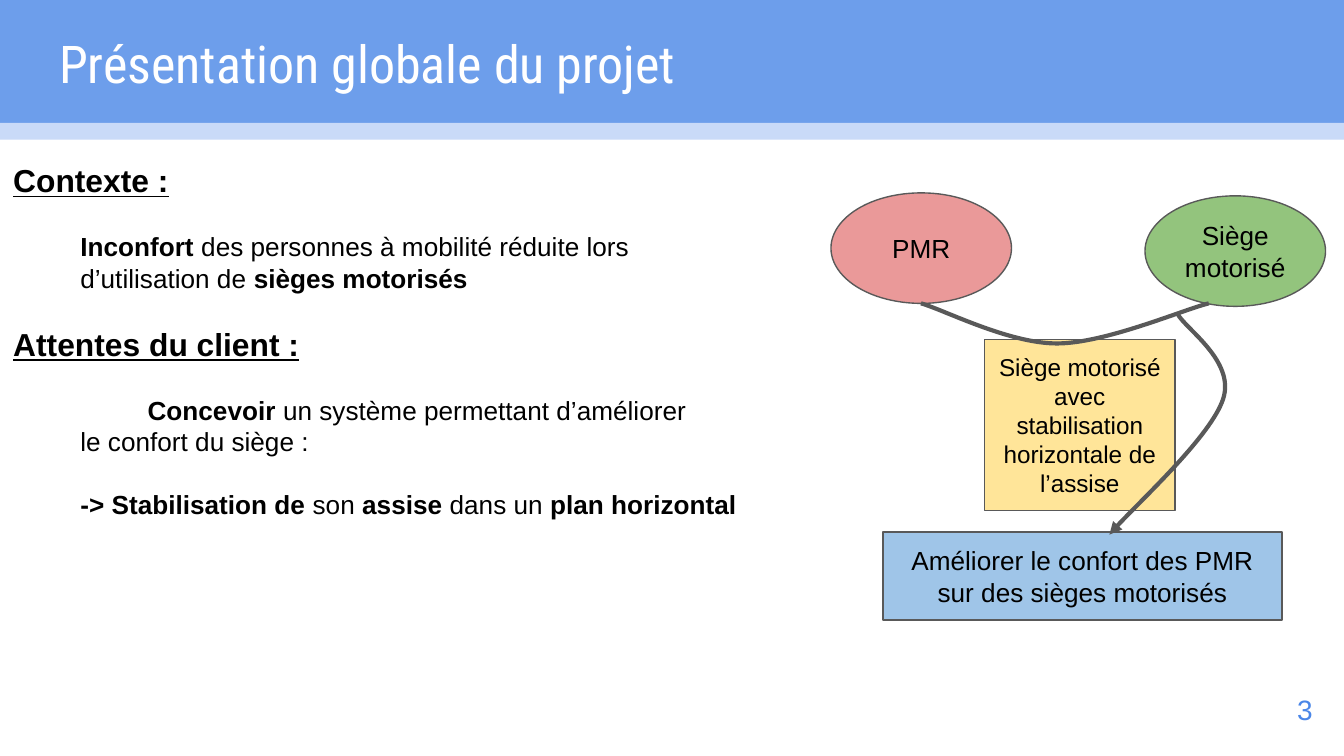
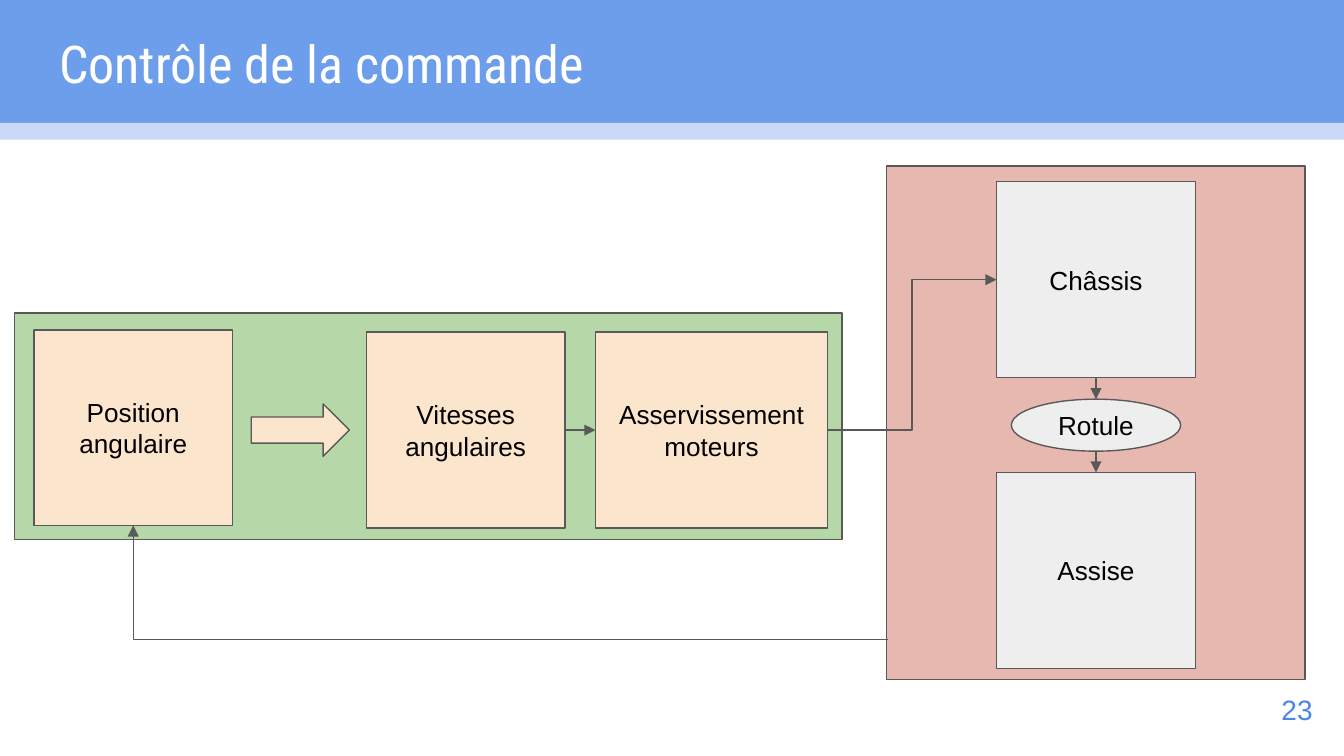
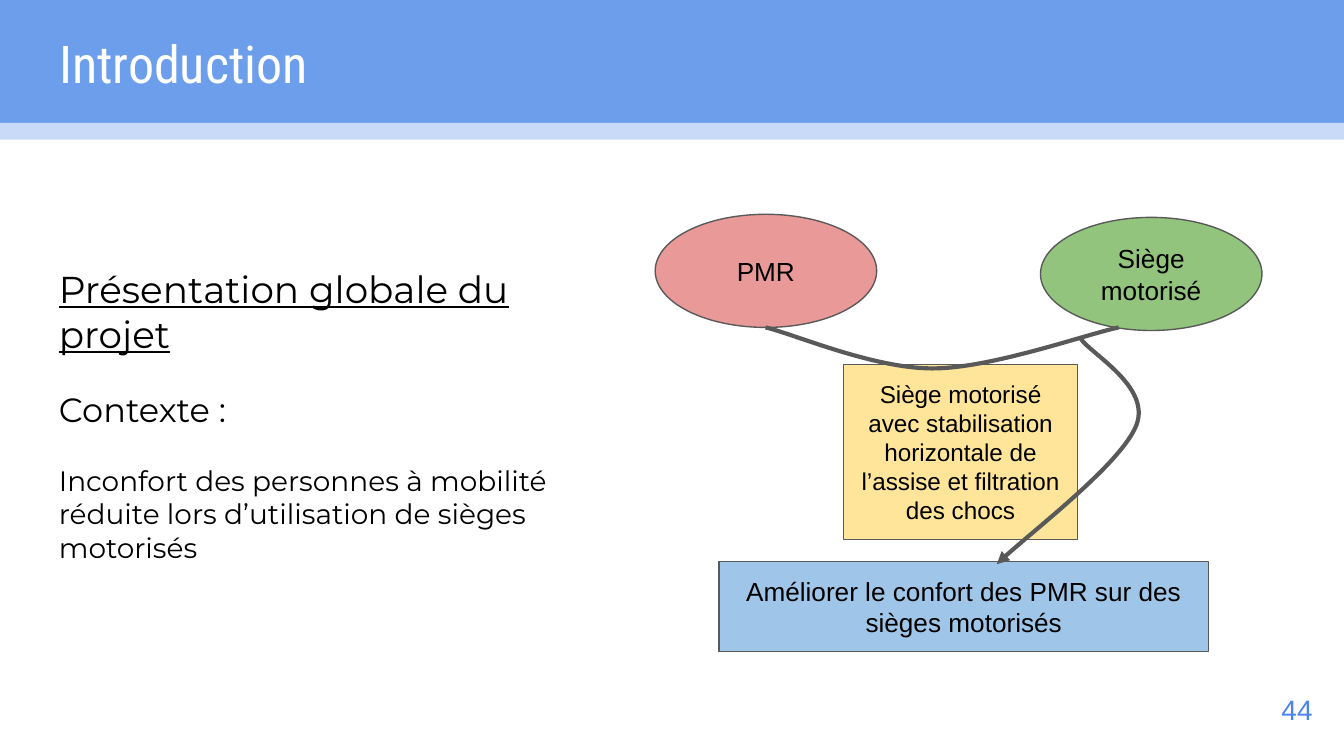
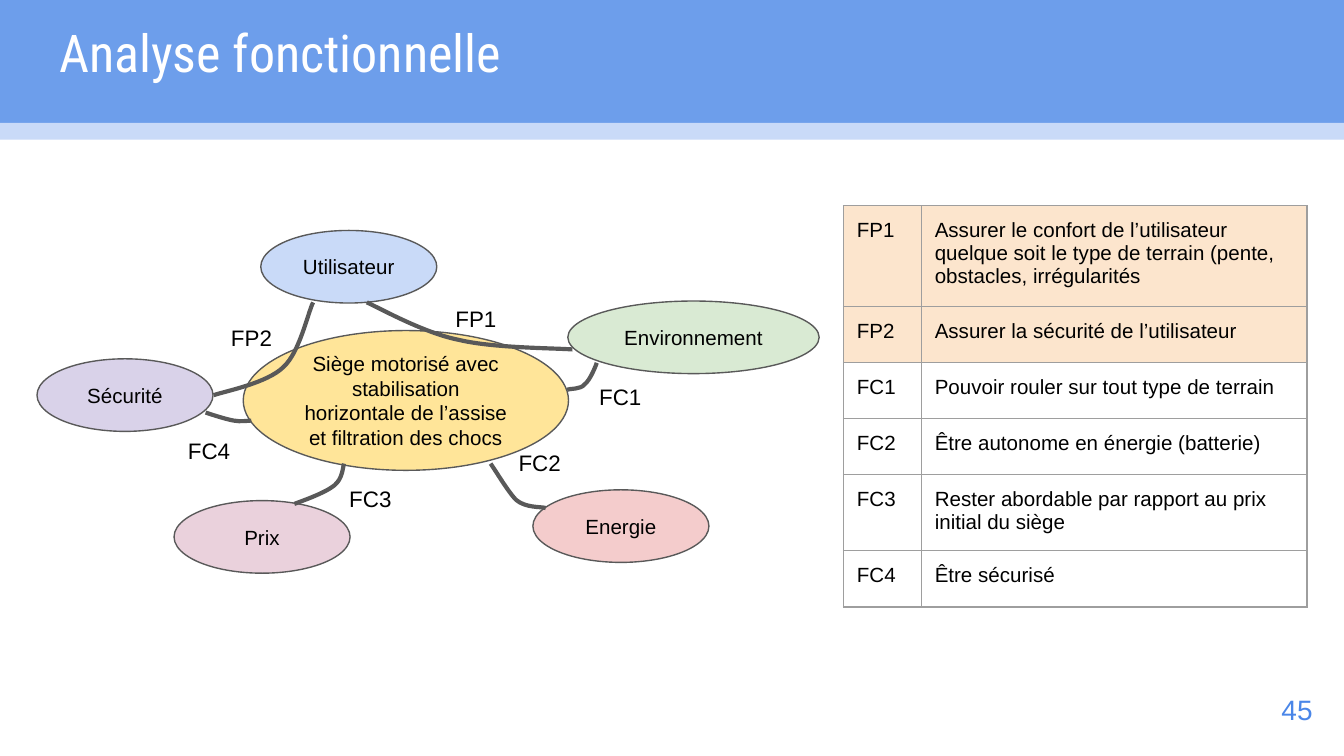
"""Build four slides on a motorised seat that keeps its sitting surface level."""
import lxml.etree
import pptx
import pptx.dml.color
import pptx.enum.shapes
import pptx.enum.text
import pptx.oxml.ns
import pptx.util

RGBColor = pptx.dml.color.RGBColor
Pt = pptx.util.Pt
qn = pptx.oxml.ns.qn
ALIGN = pptx.enum.text.PP_ALIGN
ANCHOR = pptx.enum.text.MSO_ANCHOR
CONNECTOR = pptx.enum.shapes.MSO_CONNECTOR
RECTANGLE = pptx.enum.shapes.MSO_SHAPE.RECTANGLE
OVAL = pptx.enum.shapes.MSO_SHAPE.OVAL
RIGHT_ARROW = pptx.enum.shapes.MSO_SHAPE.RIGHT_ARROW

BLACK = RGBColor(0x00, 0x00, 0x00)
WHITE = RGBColor(0xFF, 0xFF, 0xFF)
LINE_GREY = RGBColor(0x59, 0x59, 0x59)
BORDER_GREY = RGBColor(0x9E, 0x9E, 0x9E)
PALE_GREY = RGBColor(0xEE, 0xEE, 0xEE)
BAND_BLUE = RGBColor(0x6D, 0x9E, 0xEB)
PALE_BLUE = RGBColor(0xC9, 0xDA, 0xF8)
NUMBER_BLUE = RGBColor(0x4A, 0x86, 0xE8)
GOAL_BLUE = RGBColor(0x9F, 0xC5, 0xE8)
RED = RGBColor(0xEA, 0x99, 0x99)
PALE_RED = RGBColor(0xF4, 0xCC, 0xCC)
BRICK = RGBColor(0xE6, 0xB8, 0xAF)
GREEN = RGBColor(0x93, 0xC4, 0x7D)
SOFT_GREEN = RGBColor(0xB6, 0xD7, 0xA8)
PALE_GREEN = RGBColor(0xD9, 0xEA, 0xD3)
YELLOW = RGBColor(0xFF, 0xE5, 0x99)
PEACH = RGBColor(0xFC, 0xE5, 0xCD)
PINK = RGBColor(0xEA, 0xD1, 0xDC)
LILAC = RGBColor(0xD9, 0xD2, 0xE9)

COLUMNS = 100
ROWS = 56.25
CELL = pptx.util.Inches(10) // COLUMNS
MARGIN = CELL


def add_box(slide, kind, cells, fill=None, text="", size=14, color=BLACK):
    """Add a shape, or a text box when kind is None, placed in grid cells."""
    place = [round(length * CELL) for length in cells]
    if kind is None:
        shape = slide.shapes.add_textbox(*place)
    else:
        shape = slide.shapes.add_shape(kind, *place)
        shape.shadow.inherit = False
        shape.fill.solid()
        shape.fill.fore_color.rgb = fill
        shape.line.color.rgb = LINE_GREY
        shape.line.width = Pt(0.75)
        shape.text_frame.vertical_anchor = ANCHOR.MIDDLE
    frame = shape.text_frame
    frame.word_wrap = True
    frame.margin_left = frame.margin_right = MARGIN
    frame.margin_top = frame.margin_bottom = MARGIN
    if text:
        frame.text = text
    for paragraph in frame.paragraphs:
        paragraph.alignment = ALIGN.LEFT if kind is None else ALIGN.CENTER
        for run in paragraph.runs:
            run.font.name = "Arial"
            run.font.size = Pt(size)
            run.font.color.rgb = color
    return shape


def add_curve(slide, points, arrow=False):
    """Draw joined cubic curves through points given in grid cells."""
    (start_x, start_y), *others = [(round(x * CELL), round(y * CELL)) for x, y in points]
    builder = slide.shapes.build_freeform(start_x, start_y)
    builder.add_line_segments(others, close=False)
    curve = builder.convert_to_shape()
    outline = next(curve.element.iter(qn("a:path")))
    segments = outline.findall(qn("a:lnTo"))
    for start in range(0, len(segments), 3):
        cubic = lxml.etree.SubElement(outline, qn("a:cubicBezTo"))
        for segment in segments[start:start + 3]:
            cubic.append(segment[0])
            outline.remove(segment)
    curve.shadow.inherit = False
    curve.fill.background()
    curve.line.color.rgb = LINE_GREY
    curve.line.width = Pt(2.25)
    if arrow:
        lxml.etree.SubElement(curve.element.spPr.find(qn("a:ln")), qn("a:tailEnd"), type="triangle")


presentation = pptx.Presentation()
presentation.slide_width = COLUMNS * CELL
presentation.slide_height = round(ROWS * CELL)
layout = presentation.slide_layouts[5]
for placeholder in list(layout.placeholders)[1:]:
    layout.shapes.element.remove(placeholder.element)

headings = [
    ("Présentation globale du projet", "3", 1.35),
    ("Contrôle de la commande", "23", 1.35),
    ("Introduction", "44", 1.35),
    ("Analyse fonctionnelle", "45", 0.5),
]
slides = []
for heading, number, title_top in headings:
    slide = presentation.slides.add_slide(layout)
    slides.append(slide)
    title = slide.shapes.title
    title.left, title.top, title.width, title.height = [
        round(length * CELL) for length in (3.4, title_top, 93.2, 6.3)
    ]
    frame = title.text_frame
    frame.text = heading
    frame.word_wrap = True
    frame.auto_size = pptx.enum.text.MSO_AUTO_SIZE.NONE
    frame.vertical_anchor = ANCHOR.TOP
    frame.margin_left = frame.margin_right = MARGIN
    frame.margin_top = frame.margin_bottom = MARGIN
    frame.paragraphs[0].alignment = ALIGN.LEFT
    font = frame.paragraphs[0].runs[0].font
    font.name = "Roboto Condensed"
    font.size = Pt(27.9)
    font.color.rgb = WHITE
    footer = add_box(slide, None, (92.65, 50.6, 6, 4.3), text=number, size=15, color=NUMBER_BLUE)
    footer.text_frame.vertical_anchor = ANCHOR.MIDDLE
    footer.text_frame.paragraphs[0].alignment = ALIGN.RIGHT

project, control, introduction, analysis = slides

for cells, color in [((-0.3, 9.15, 100.7, 1.25), PALE_BLUE), ((-0.3, -0.1, 100.7, 9.25), BAND_BLUE)]:
    band = add_box(project, RECTANGLE, cells, color)
    band.line.fill.background()
    layout.shapes.element.insert(2, band.element)

project_lines = [
    ("Contexte :", 0, 0, 0),
    ("*Inconfort *des personnes à mobilité réduite lors", 5, 0, 16.8),
    ("d’utilisation de *sièges motorisés*", 5, 0, 0),
    ("Attentes du client :", 0, 0, 16.8),
    ("*Concevoir *un système permettant d’améliorer", 5, 5, 16.8),
    ("le confort du siège :", 5, 0, 0),
    ("*-> Stabilisation de *son *assise *dans un *plan horizontal*", 5, 0, 16.8),
]
frame = add_box(project, None, (0, 11, 62.7, 31.3)).text_frame
for index, (marked_text, margin, indent, space) in enumerate(project_lines):
    paragraph = frame.paragraphs[0] if index == 0 else frame.add_paragraph()
    properties = paragraph._p.get_or_add_pPr()
    properties.set("marL", str(margin * CELL))
    properties.set("indent", str(indent * CELL))
    if space:
        paragraph.space_before = Pt(space)
    is_heading = margin == 0
    for part, text in enumerate(marked_text.split("*")):
        if text:
            run = paragraph.add_run()
            run.text = text
            run.font.name = "Arial"
            run.font.size = Pt(17 if is_heading else 14)
            run.font.color.rgb = BLACK
            run.font.bold = is_heading or part % 2 == 1
            run.font.underline = is_heading

frame = add_box(introduction, None, (3.4, 18.8, 43.4, 24.4)).text_frame
frame.text = (
    "Présentation globale du projet\nContexte :\n"
    "Inconfort des personnes à mobilité réduite lors d’utilisation de sièges motorisés"
)
for index, (paragraph, size) in enumerate(zip(frame.paragraphs, (20, 18, 15))):
    if index:
        paragraph.space_before = Pt(18)
    font = paragraph.runs[0].font
    font.name = "Montserrat"
    font.size = Pt(size)
    font.color.rgb = BLACK
    font.underline = index == 0

need_diagrams = [
    (project, (61.83, 14.35, 36.8, 31.75), "Siège motorisé avec stabilisation horizontale de l’assise"),
    (introduction, (48.75, 15.95, 45.15, 32.5),
     "Siège motorisé avec stabilisation horizontale de l’assise et filtration des chocs"),
]
user_to_seat = [
    (18.2, 25.9), (22.8, 27.4), (35.9, 35.3), (45.7, 35.3), (55.4, 35.3), (71.2, 27.4), (76.4, 25.9),
]
seat_to_goal = [
    (70.1, 28.4), (71.7, 31.9), (81.8, 39.4), (79.3, 48.3), (76.9, 56.8), (60.1, 74.8), (56.3, 80.1),
]
for slide, (left, top, width, height), product in need_diagrams:
    nodes = [
        (OVAL, (0, 0, 36.5, 25.9), RED, "PMR", 14),
        (OVAL, (63.5, 0.7, 36.5, 25.9), GREEN, "Siège motorisé", 14),
        (RECTANGLE, (31, 34.4, 38.6, 40), YELLOW, product, 13),
        (RECTANGLE, (10.5, 79.5, 80.7, 20.6), GOAL_BLUE,
         "Améliorer le confort des PMR sur des sièges motorisés", 14),
    ]
    for kind, (x, y, wide, high), fill, text, size in nodes:
        cells = (left + x * width / 100, top + y * height / 100, wide * width / 100, high * height / 100)
        add_box(slide, kind, cells, fill, text, size)
    for shares, arrow in [(user_to_seat, False), (seat_to_goal, True)]:
        add_curve(slide, [(left + x * width / 100, top + y * height / 100) for x, y in shares], arrow)

add_box(control, RECTANGLE, (1.1, 23.3, 61.55, 16.85), SOFT_GREEN)
add_box(control, RECTANGLE, (65.95, 12.35, 31.15, 38.2), BRICK)
add_box(control, RIGHT_ARROW, (18.7, 30.05, 7.3, 3.9), PEACH)
position = add_box(control, RECTANGLE, (2.52, 24.55, 14.8, 14.55), PEACH, "Position\nangulaire")
speeds = add_box(control, RECTANGLE, (27.25, 24.7, 14.8, 14.6), PEACH, "Vitesses angulaires")
motors = add_box(control, RECTANGLE, (44.3, 24.7, 17.3, 14.6), PEACH, "Asservissement moteurs")
chassis = add_box(control, RECTANGLE, (74.15, 13.52, 14.8, 14.6), PALE_GREY, "Châssis")
seat = add_box(control, RECTANGLE, (74.15, 35.15, 14.8, 14.6), PALE_GREY, "Assise")
joint = add_box(control, OVAL, (75.25, 29.7, 12.6, 3.87), PALE_GREY, "Rotule")

links = [
    (CONNECTOR.ELBOW, (61.6, 32), motors, 3, chassis, 1),
    (CONNECTOR.STRAIGHT, (81.55, 28.1), chassis, 2, joint, 0),
    (CONNECTOR.STRAIGHT, (81.55, 33.57), None, 0, seat, 0),
    (CONNECTOR.STRAIGHT, (42.05, 32), speeds, 3, motors, 1),
    (CONNECTOR.ELBOW, (66.1, 47.6), None, 0, position, 2),
]
for kind, (x, y), source, source_side, target, target_side in links:
    begin = round(x * CELL), round(y * CELL)
    connector = control.shapes.add_connector(kind, *begin, *begin)
    if source:
        connector.begin_connect(source, source_side)
    connector.end_connect(target, target_side)
    connector.line.color.rgb = LINE_GREY
    connector.line.width = Pt(0.75)
    properties = connector.element.spPr
    lxml.etree.SubElement(properties.find(qn("a:ln")), qn("a:tailEnd"), type="triangle")
    lxml.etree.SubElement(properties, qn("a:effectLst"))
    if target is position:
        properties.find(qn("a:prstGeom")).set("prst", "bentConnector2")

actors = [
    ((18.1, 24.6, 24.2, 10.4), YELLOW,
     "Siège motorisé avec stabilisation horizontale de l’assise et filtration des chocs"),
    ((19.4, 17.15, 13.1, 5.4), PALE_BLUE, "Utilisateur"),
    ((42.25, 22.4, 18.7, 5.4), PALE_GREEN, "Environnement"),
    ((12.95, 37.25, 13.1, 5.4), PINK, "Prix"),
    ((2.75, 26.7, 13.1, 5.4), LILAC, "Sécurité"),
    ((39.65, 36.45, 13.1, 5.4), PALE_RED, "Energie"),
]
for cells, fill, text in actors:
    add_box(analysis, OVAL, cells, fill, text, 11)

functions = [
    ("FP1", (32.9, 21.7),
     [(27.3, 22.5), (28.4, 23), (31.6, 24.8), (34.2, 25.3), (36.7, 25.9), (41.2, 25.9), (42.6, 26)]),
    ("FP2", (16.2, 23.1),
     [(15.9, 29.4), (16.8, 29.1), (19.9, 28.5), (21.1, 27.3), (22.3, 26.2), (22.9, 23.3), (23.3, 22.5)]),
    ("FC1", (43.6, 27.5),
     [(44.4, 27), (44.3, 27.3), (43.9, 28.3), (43.5, 28.6), (43.2, 29), (42.4, 28.9), (42.2, 29)]),
    ("FC2", (37.6, 32.4),
     [(36.5, 34.5), (36.8, 34.9), (37.8, 36.6), (38.4, 37.2), (39.1, 37.8), (40.2, 37.7), (40.6, 37.8)]),
    ("FC3", (25, 35.1),
     [(21.9, 37.5), (22.4, 37.3), (24.2, 36.7), (24.9, 36.1), (25.5, 35.6), (25.5, 34.8), (25.6, 34.5)]),
    ("FC4", (13, 31.5),
     [(15.3, 30.7), (15.6, 30.8), (16.8, 31.2), (17.4, 31.3), (17.9, 31.4), (18.5, 31.3), (18.7, 31.3)]),
]
for name, (left, top), points in functions:
    add_curve(analysis, points)
    add_box(analysis, None, (left, top, 6.8, 4), text=name, size=12)

descriptions = [
    "Assurer le confort de l’utilisateur quelque soit le type de terrain (pente, obstacles, irrégularités",
    "Assurer la sécurité de l’utilisateur",
    "Pouvoir rouler sur tout type de terrain",
    "Être autonome en énergie (batterie)",
    "Rester abordable par rapport au prix initial du siège",
    "Être sécurisé",
]
table_place = [round(length * CELL) for length in (62.75, 15.3, 34.5, 27.05)]
table = analysis.shapes.add_table(len(descriptions), 2, *table_place).table
table.first_row = table.horz_banding = False
for column, width in zip(table.columns, (5.8, 28.7)):
    column.width = round(width * CELL)
for row_index, (function, description) in enumerate(zip(functions, descriptions)):
    table.rows[row_index].height = round((6.2 if row_index == 0 else 4.17) * CELL)
    for column_index, text in enumerate((function[0], description)):
        cell = table.cell(row_index, column_index)
        cell.text = text
        cell.margin_left = cell.margin_right = MARGIN
        cell.margin_top = cell.margin_bottom = MARGIN
        if function[0].startswith("FP"):
            cell.fill.solid()
            cell.fill.fore_color.rgb = PEACH
        else:
            cell.fill.background()
        font = cell.text_frame.paragraphs[0].runs[0].font
        font.name = "Arial"
        font.size = Pt(11)
        font.color.rgb = BLACK
        properties = cell._tc.get_or_add_tcPr()
        for order, side in enumerate(("lnL", "lnR", "lnT", "lnB")):
            border = lxml.etree.Element(qn("a:" + side), w=str(Pt(0.75)))
            border_fill = lxml.etree.SubElement(border, qn("a:solidFill"))
            lxml.etree.SubElement(border_fill, qn("a:srgbClr"), val=str(BORDER_GREY))
            properties.insert(order, border)

presentation.save("out.pptx")
